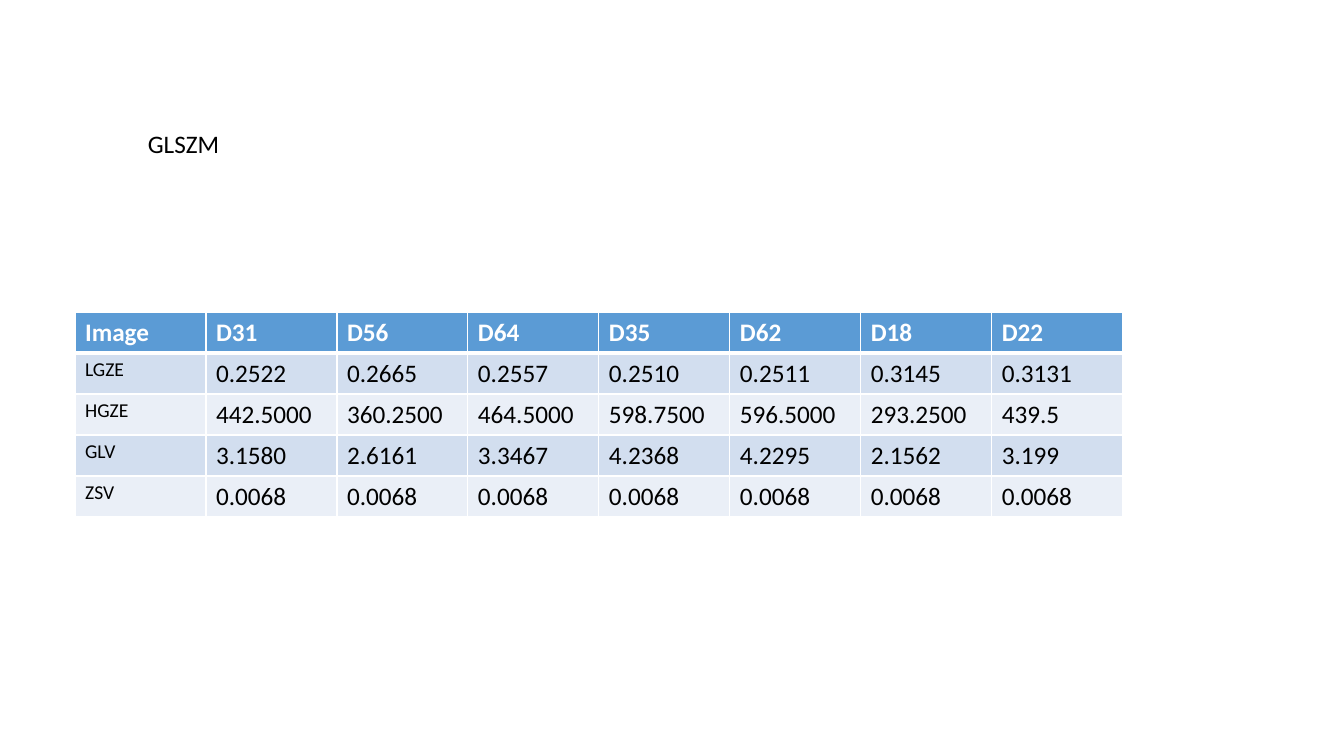
import dataclasses

import lxml.etree
import pptx
import pptx.dml.color
import pptx.enum.text
import pptx.oxml.ns
import pptx.util

EMU_PER_PX = 914400 / 100.8


@dataclasses.dataclass(frozen=True)
class Theme:
    font: str = "Calibri"
    text: str = "000000"
    header_text: str = "FFFFFF"
    header_fill: str = "5B9BD5"
    band_fills: tuple = ("D2DEEF", "EAEFF7")
    border: str = "FFFFFF"
    body_size: int = 18
    label_size: int = 14
    thin_border: int = 1
    thick_border: int = 3


THEME = Theme()

FEATURES = [
    ["Image", "D31", "D56", "D64", "D35", "D62", "D18", "D22"],
    ["LGZE", "0.2522", "0.2665", "0.2557", "0.2510", "0.2511", "0.3145", "0.3131"],
    ["HGZE", "442.5000", "360.2500", "464.5000", "598.7500", "596.5000", "293.2500", "439.5"],
    ["GLV", "3.1580", "2.6161", "3.3467", "4.2368", "4.2295", "2.1562", "3.199"],
    ["ZSV"] + ["0.0068"] * 7,
]


def px(length):
    return pptx.util.Emu(round(length * EMU_PER_PX))


def rgb(color):
    return pptx.dml.color.RGBColor.from_string(color)


def write_text(text_frame, text, size=THEME.body_size, color=THEME.text, bold=False):
    run = text_frame.paragraphs[0].add_run()
    run.text = text
    run.font.name = THEME.font
    run.font.size = pptx.util.Pt(size)
    run.font.bold = bold
    run.font.color.rgb = rgb(color)


def add_caption(slide, text, left, top, width, height):
    shape = slide.shapes.add_textbox(px(left), px(top), px(width), px(height))
    shape.text_frame.word_wrap = True
    shape.text_frame.auto_size = pptx.enum.text.MSO_AUTO_SIZE.SHAPE_TO_FIT_TEXT
    write_text(shape.text_frame, text)


def set_borders(cell, **widths):
    qualified = pptx.oxml.ns.qn
    properties = cell._tc.get_or_add_tcPr()
    for side in "LRTB":
        width = pptx.util.Pt(widths.get(side, THEME.thin_border))
        line = lxml.etree.SubElement(properties, qualified(f"a:ln{side}"), w=str(int(width)))
        fill = lxml.etree.SubElement(line, qualified("a:solidFill"))
        lxml.etree.SubElement(fill, qualified("a:srgbClr"), val=THEME.border)


def format_cell(cell, text, row, column):
    if row == 0:
        fill = THEME.header_fill
        text_format = {"color": THEME.header_text, "bold": True}
        borders = {"B": THEME.thick_border}
    else:
        fill = THEME.band_fills[(row - 1) % 2]
        text_format = {"size": THEME.label_size} if column == 0 else {}
        borders = {"T": THEME.thick_border} if row == 1 else {}
    set_borders(cell, **borders)
    cell.fill.solid()
    cell.fill.fore_color.rgb = rgb(fill)
    write_text(cell.text_frame, text, **text_format)


def add_feature_table(slide, rows, left, top, column_width, row_height):
    row_count, column_count = len(rows), len(rows[0])
    table = slide.shapes.add_table(
        row_count, column_count, px(left), px(top),
        px(column_width * column_count), px(row_height * row_count),
    ).table
    for column in table.columns:
        column.width = px(column_width)
    for row_index, values in enumerate(rows):
        table.rows[row_index].height = px(row_height)
        for column_index, text in enumerate(values):
            format_cell(table.cell(row_index, column_index), text, row_index, column_index)


def main():
    presentation = pptx.Presentation()
    presentation.slide_width = px(1344)
    presentation.slide_height = px(756)
    slide = presentation.slides.add_slide(presentation.slide_layouts[6])
    add_feature_table(slide, FEATURES, left=75, top=312, column_width=131, row_height=41)
    add_caption(slide, "GLSZM", left=138, top=123, width=474, height=41)
    presentation.save("out.pptx")


if __name__ == "__main__":
    main()
